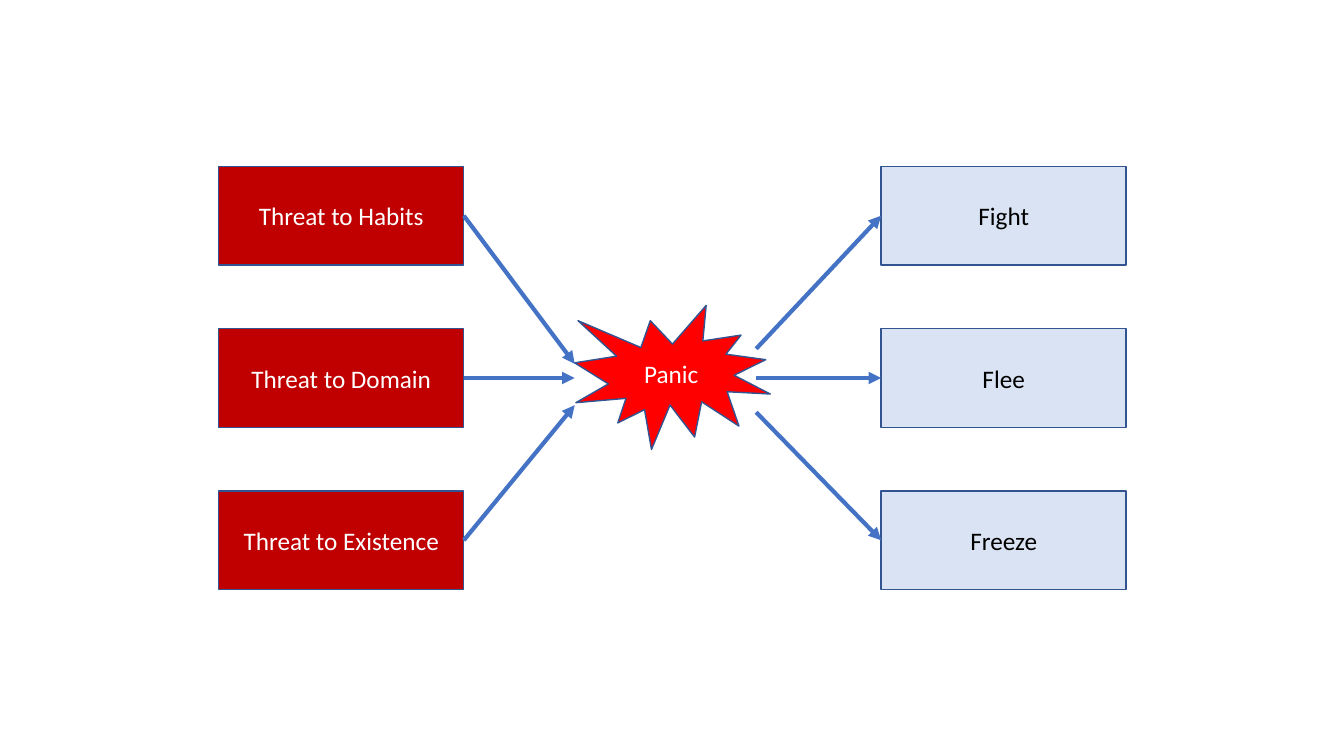
from dataclasses import dataclass

import lxml.etree
import pptx
import pptx.dml.color
import pptx.enum.shapes
import pptx.enum.text
import pptx.oxml.ns
import pptx.shapes.autoshape
import pptx.slide
import pptx.util

Inches = pptx.util.Inches
RGBColor = pptx.dml.color.RGBColor
Shapes = pptx.enum.shapes.MSO_SHAPE

WHITE = RGBColor(0xFF, 0xFF, 0xFF)
BLACK = RGBColor(0x00, 0x00, 0x00)
PANIC_RED = RGBColor(0xFF, 0x00, 0x00)
THREAT_RED = RGBColor(0xC0, 0x00, 0x00)
RESPONSE_BLUE = RGBColor(0xDA, 0xE3, 0xF3)
OUTLINE_BLUE = RGBColor(0x32, 0x54, 0x91)
ARROW_BLUE = RGBColor(0x44, 0x72, 0xC4)

BOX_WIDTH, BOX_HEIGHT = 2.43, 0.98
FIRST_TOP, ROW_STEP = 1.65, 1.61
THREAT_LEFT, RESPONSE_LEFT = 2.17, 8.74
PANIC_ENTRY, PANIC_EXIT = 5.7, 7.5


@dataclass(frozen=True)
class Node:
    """A labelled shape, measured in inches."""

    label: str
    left: float
    top: float
    width: float = BOX_WIDTH
    height: float = BOX_HEIGHT
    fill: RGBColor = THREAT_RED
    ink: RGBColor = WHITE
    outline: Shapes = Shapes.RECTANGLE


@dataclass(frozen=True)
class Row:
    """A threat and a response, with the heights where their arrows meet the panic."""

    threat: str
    response: str
    entry: float
    exit: float


ROWS = [
    Row("Threat to Habits", "Fight", 3.61, 3.46),
    Row("Threat to Domain", "Flee", 3.75, 3.75),
    Row("Threat to Existence", "Freeze", 4.02, 4.09),
]
PANIC = Node("Panic", 5.7, 3.03, 1.94, 1.43, PANIC_RED, WHITE, Shapes.EXPLOSION1)


def draw_node(page: pptx.slide.Slide, node: Node) -> pptx.shapes.autoshape.Shape:
    """Draw a filled shape with its centred label."""
    box = page.shapes.add_shape(
        node.outline,
        Inches(node.left), Inches(node.top), Inches(node.width), Inches(node.height),
    )
    box.shadow.inherit = False
    box.fill.solid()
    box.fill.fore_color.rgb = node.fill
    box.line.color.rgb = OUTLINE_BLUE
    box.line.width = pptx.util.Pt(1)
    frame = box.text_frame
    frame.word_wrap = True
    frame.vertical_anchor = pptx.enum.text.MSO_ANCHOR.MIDDLE
    para = frame.paragraphs[0]
    para.alignment = pptx.enum.text.PP_ALIGN.CENTER
    span = para.add_run()
    span.text = node.label
    span.font.name = "Calibri"
    span.font.size = pptx.util.Pt(18)
    span.font.color.rgb = node.ink
    return box


def draw_arrow(
    page: pptx.slide.Slide, start: tuple[float, float], end: tuple[float, float]
) -> None:
    """Draw a straight arrow between two points in inches."""
    arrow = page.shapes.add_connector(
        pptx.enum.shapes.MSO_CONNECTOR.STRAIGHT,
        *(Inches(value) for value in (*start, *end)),
    )
    arrow.line.color.rgb = ARROW_BLUE
    arrow.line.width = pptx.util.Pt(3)
    qn = pptx.oxml.ns.qn
    properties = arrow.element.spPr
    stroke = properties.find(qn("a:ln"))
    lxml.etree.SubElement(stroke, qn("a:tailEnd"), type="triangle")
    lxml.etree.SubElement(properties, qn("a:effectLst"))


def build_deck() -> None:
    """Build the threat, panic and response diagram."""
    deck = pptx.Presentation()
    deck.slide_width, deck.slide_height = Inches(13.33), Inches(7.5)
    page = deck.slides.add_slide(deck.slide_layouts[6])

    draw_node(page, PANIC)
    tops = [FIRST_TOP + index * ROW_STEP for index in range(len(ROWS))]
    for row, top in zip(ROWS, tops):
        draw_node(page, Node(row.threat, THREAT_LEFT, top))
    for row, top in zip(ROWS, tops):
        draw_node(
            page,
            Node(row.response, RESPONSE_LEFT, top, fill=RESPONSE_BLUE, ink=BLACK),
        )
    for row, top in zip(ROWS, tops):
        middle = top + BOX_HEIGHT / 2
        draw_arrow(page, (THREAT_LEFT + BOX_WIDTH, middle), (PANIC_ENTRY, row.entry))
    for row, top in zip(ROWS, tops):
        middle = top + BOX_HEIGHT / 2
        draw_arrow(page, (PANIC_EXIT, row.exit), (RESPONSE_LEFT, middle))

    deck.save("out.pptx")


build_deck()
